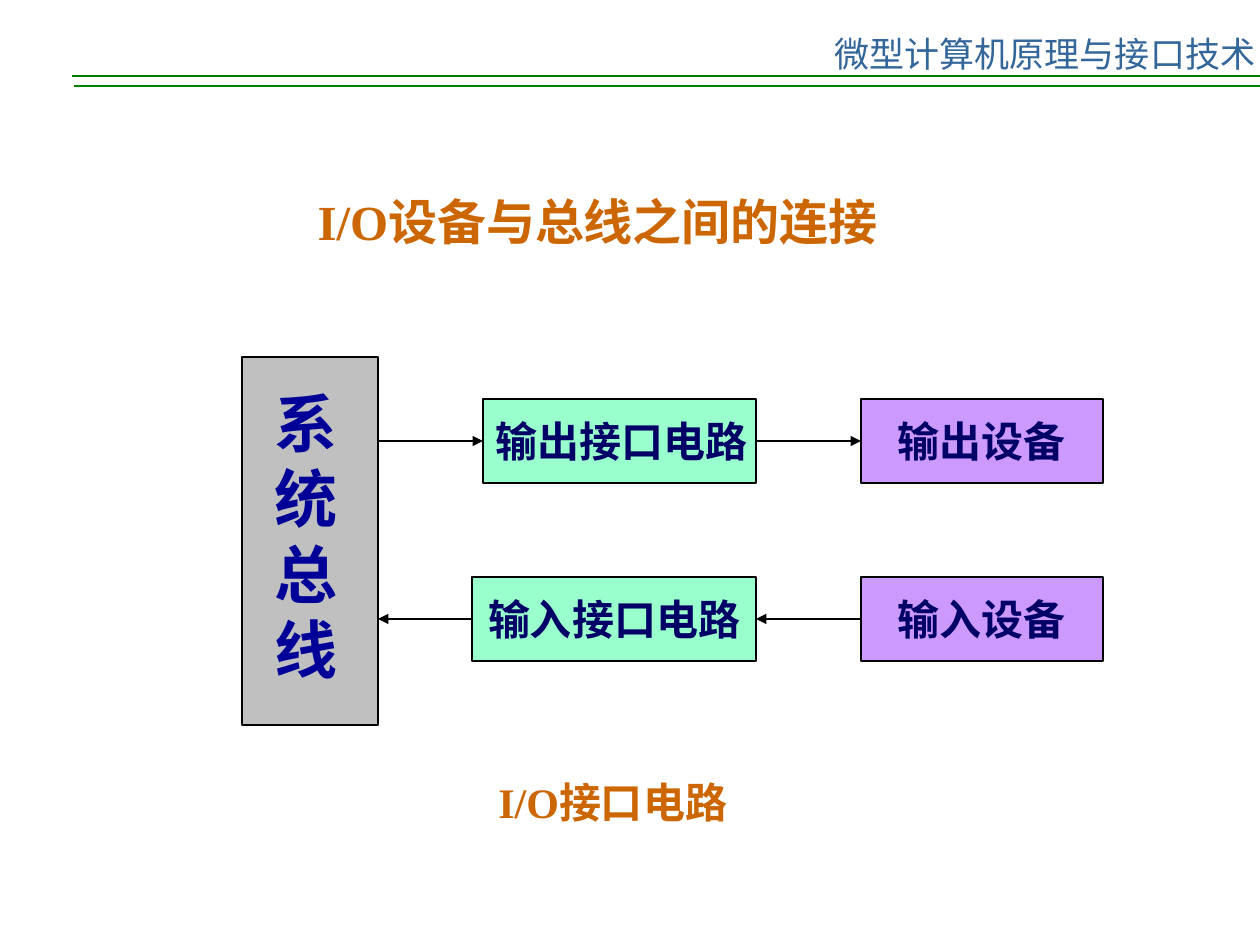
from lxml.etree import SubElement
from pptx import Presentation
from pptx.dml.color import RGBColor
from pptx.enum.shapes import MSO_CONNECTOR as Connector, MSO_SHAPE as Shape
from pptx.enum.text import MSO_ANCHOR as Anchor, MSO_AUTO_SIZE as AutoSize, PP_ALIGN as Align
from pptx.oxml.ns import qn
from pptx.util import Emu, Pt

COLORS = {
    "header": "336699", "rule": "008000", "heading": "CC6600",
    "bus": "C0C0C0", "circuit": "99FFCC", "device": "CC99FF",
    "bus_text": "000099", "box_text": "000066", "line": "000000",
}
PX = 914400 / 126


class Diagram:
    font = "Times New Roman"
    header_font = "Noto Sans CJK SC"
    line_width = Pt(0.75)

    def __init__(self, slide):
        self.slide = slide

    def color(self, name):
        return RGBColor.from_string(COLORS[name])

    def lengths(self, *values):
        return [Emu(round(value * PX)) for value in values]

    def fill_text(self, shape, lines, size, color, align=Align.LEFT, anchor=Anchor.TOP,
                  wrap=False, font=None, bold=True):
        frame = shape.text_frame
        frame.word_wrap = wrap
        frame.auto_size = AutoSize.NONE
        frame.vertical_anchor = anchor
        for index, line in enumerate(lines):
            paragraph = frame.add_paragraph() if index else frame.paragraphs[0]
            paragraph.alignment = align
            run = paragraph.add_run()
            run.text = line
            run.font.name = font or self.font
            run.font.size = Pt(size)
            run.font.bold = bold
            run.font.color.rgb = self.color(color)

    def title(self, box, text):
        shape = self.slide.shapes.title
        shape.left, shape.top, shape.width, shape.height = self.lengths(*box)
        self.fill_text(shape, [text], 28, "heading")

    def text(self, box, lines, size, color, **style):
        shape = self.slide.shapes.add_textbox(*self.lengths(*box))
        self.fill_text(shape, lines, size, color, **style)

    def box(self, box, fill, label=None, align=Align.CENTER):
        shape = self.slide.shapes.add_shape(Shape.RECTANGLE, *self.lengths(*box))
        shape.shadow.inherit = False
        shape.fill.solid()
        shape.fill.fore_color.rgb = self.color(fill)
        shape.line.color.rgb = self.color("line")
        shape.line.width = self.line_width
        if label:
            self.fill_text(shape, [label], 24, "box_text", align, Anchor.MIDDLE)

    def line(self, start, end, y, color="line", arrow=False):
        connector = self.slide.shapes.add_connector(
            Connector.STRAIGHT, *self.lengths(start, y, end, y))
        connector.line.color.rgb = self.color(color)
        connector.line.width = self.line_width
        properties = connector.element.spPr
        if arrow:
            SubElement(properties.find(qn("a:ln")), qn("a:tailEnd"), type="triangle")
        SubElement(properties, qn("a:effectLst"))


def main():
    presentation = Presentation()
    presentation.slide_width, presentation.slide_height = Emu(9144000), Emu(6858000)
    diagram = Diagram(presentation.slides.add_slide(presentation.slide_layouts[5]))

    diagram.line(74, 1260, 86, "rule")
    diagram.text((868, 26, 354, 35), ["微型计算机原理与接口技术"], 20, "header",
                 align=Align.CENTER, font=diagram.header_font, bold=False)
    diagram.line(72, 1260, 76, "rule")
    diagram.title((305, 185, 597, 72), "I/O设备与总线之间的连接")

    bus_left, bus_right = 242, 378
    circuit_right, device_left, device_width = 756, 861, 242
    box_height = 84
    diagram.box((bus_left, 357, bus_right - bus_left, 368), "bus")
    diagram.text((262, 378, 107, 315), "系统总线", 36, "bus_text", wrap=True)

    rows = [
        ("输出", 399, 483, Align.LEFT),
        ("输入", 577, 472, Align.CENTER),
    ]
    for direction, top, circuit_left, align in rows:
        diagram.box((circuit_left, top, circuit_right - circuit_left, box_height),
                    "circuit", direction + "接口电路", align)
        diagram.box((device_left, top, device_width, box_height), "device", direction + "设备")
        for ends in ((bus_right, circuit_left), (circuit_right, device_left)):
            start, end = ends if direction == "输出" else reversed(ends)
            diagram.line(start, end, top + box_height // 2, arrow=True)

    diagram.text((486, 770, 263, 63), ["I/O接口电路"], 24, "heading")
    presentation.save("out.pptx")


if __name__ == "__main__":
    main()
